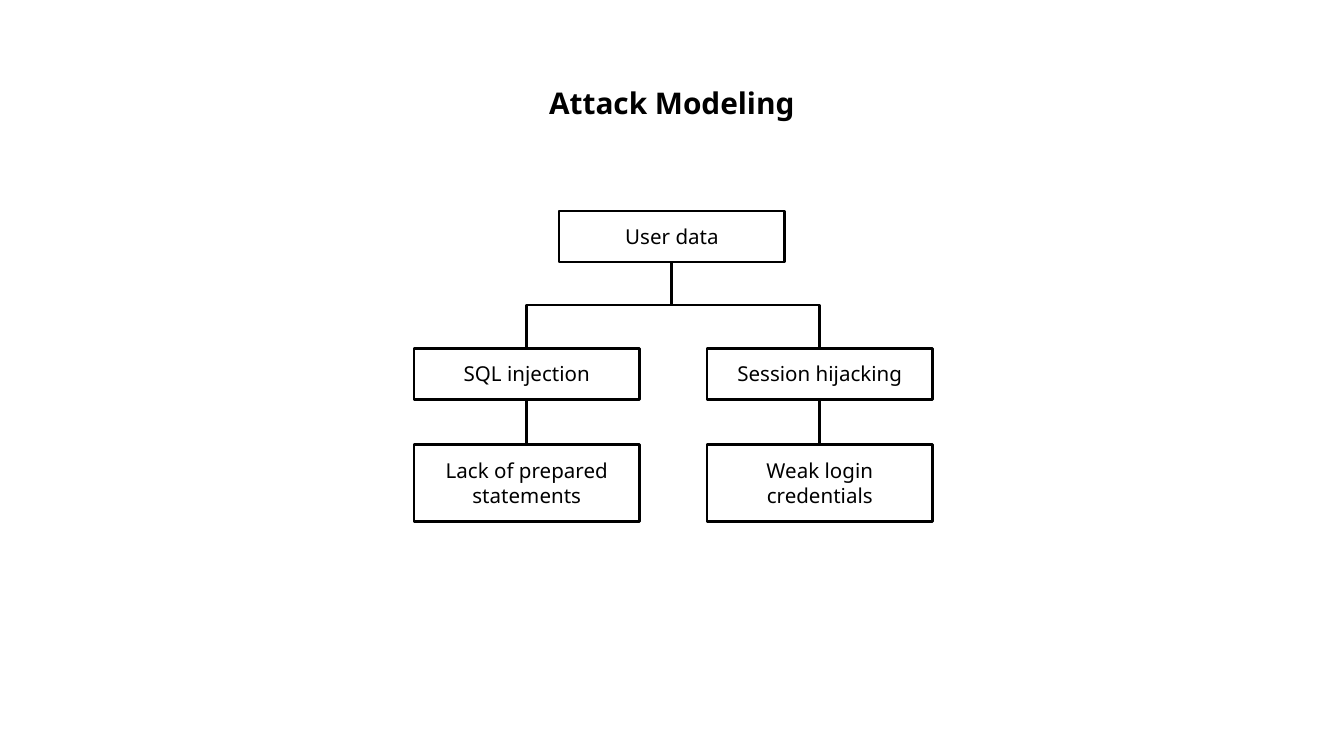
"""Build the Attack Modeling slide with a small attack tree."""
from pptx import Presentation
from pptx.dml.color import RGBColor
from pptx.enum.shapes import MSO_CONNECTOR, MSO_SHAPE
from pptx.enum.text import MSO_ANCHOR, MSO_AUTO_SIZE, PP_ALIGN
from pptx.oxml.ns import qn
from pptx.util import Inches, Pt
from lxml.etree import SubElement

COLORS = {"ink": "000000"}
INK = RGBColor.from_string(COLORS["ink"])
FONT = "Noto Sans"
BOX_WIDTH = 1.68
BOX_HEIGHT = 0.38
LEAF_HEIGHT = 0.57
ROOT_CENTER = 5
ROOT_TOP = 1.57
THREAT_TOP = 2.59
LEAF_TOP = 3.31


def write_text(shape, text, size, bold=False):
    """Write one centred run into the shape."""
    frame = shape.text_frame
    frame.word_wrap = True
    frame.auto_size = MSO_AUTO_SIZE.SHAPE_TO_FIT_TEXT
    frame.margin_left = frame.margin_right = Inches(0.1)
    frame.margin_top = frame.margin_bottom = Inches(0.1)
    paragraph = frame.paragraphs[0]
    paragraph.alignment = PP_ALIGN.CENTER
    run = paragraph.add_run()
    run.text = text
    run.font.name = FONT
    run.font.size = Pt(size)
    run.font.bold = bold
    run.font.color.rgb = INK


def add_box(center, top, height, text):
    """Add an outlined box of the tree."""
    box = slide.shapes.add_shape(
        MSO_SHAPE.RECTANGLE, Inches(center - BOX_WIDTH / 2), Inches(top),
        Inches(BOX_WIDTH), Inches(height))
    box.shadow.inherit = False
    box.fill.background()
    box.line.color.rgb = INK
    box.line.width = Pt(1.5)
    box.text_frame.vertical_anchor = MSO_ANCHOR.MIDDLE
    write_text(box, text, 11)
    return box


presentation = Presentation()
presentation.slide_width = Inches(10)
presentation.slide_height = Inches(10) * 9 // 16
slide = presentation.slides.add_slide(presentation.slide_layouts[6])

title = slide.shapes.add_textbox(Inches(1.3), Inches(0.53), Inches(7.4), Inches(0.47))
write_text(title, "Attack Modeling", 16, bold=True)

add_box(ROOT_CENTER, ROOT_TOP, BOX_HEIGHT, "User data")

branches = [
    (3.92, "SQL injection", "Lack of prepared statements", 270),
    (6.1, "Session hijacking", "Weak login credentials", 90),
]
root_bottom = ROOT_TOP + BOX_HEIGHT
rise = THREAT_TOP - root_bottom
middle_y = (THREAT_TOP + root_bottom) / 2
connectors = []
for center, threat_text, cause_text, rotation in branches:
    threat = add_box(center, THREAT_TOP, BOX_HEIGHT, threat_text)
    cause = add_box(center, LEAF_TOP, LEAF_HEIGHT, cause_text)

    stem = slide.shapes.add_connector(MSO_CONNECTOR.STRAIGHT, 0, 0, 0, 0)
    stem.begin_connect(threat, 2)
    stem.end_connect(cause, 0)

    middle_x = (center + ROOT_CENTER) / 2
    spread = abs(center - ROOT_CENTER)
    half_rise = rise / 2 if center < ROOT_CENTER else -rise / 2
    elbow = slide.shapes.add_connector(
        MSO_CONNECTOR.ELBOW,
        Inches(middle_x - half_rise), Inches(middle_y - spread / 2),
        Inches(middle_x + half_rise), Inches(middle_y + spread / 2))
    elbow.element.spPr.find(qn("a:xfrm")).set("rot", str(rotation * 60000))
    connectors += [stem, elbow]

for connector in connectors:
    connector.line.color.rgb = INK
    connector.line.width = Pt(1.5)
    SubElement(connector.element.spPr, qn("a:effectLst"))

presentation.save("out.pptx")
